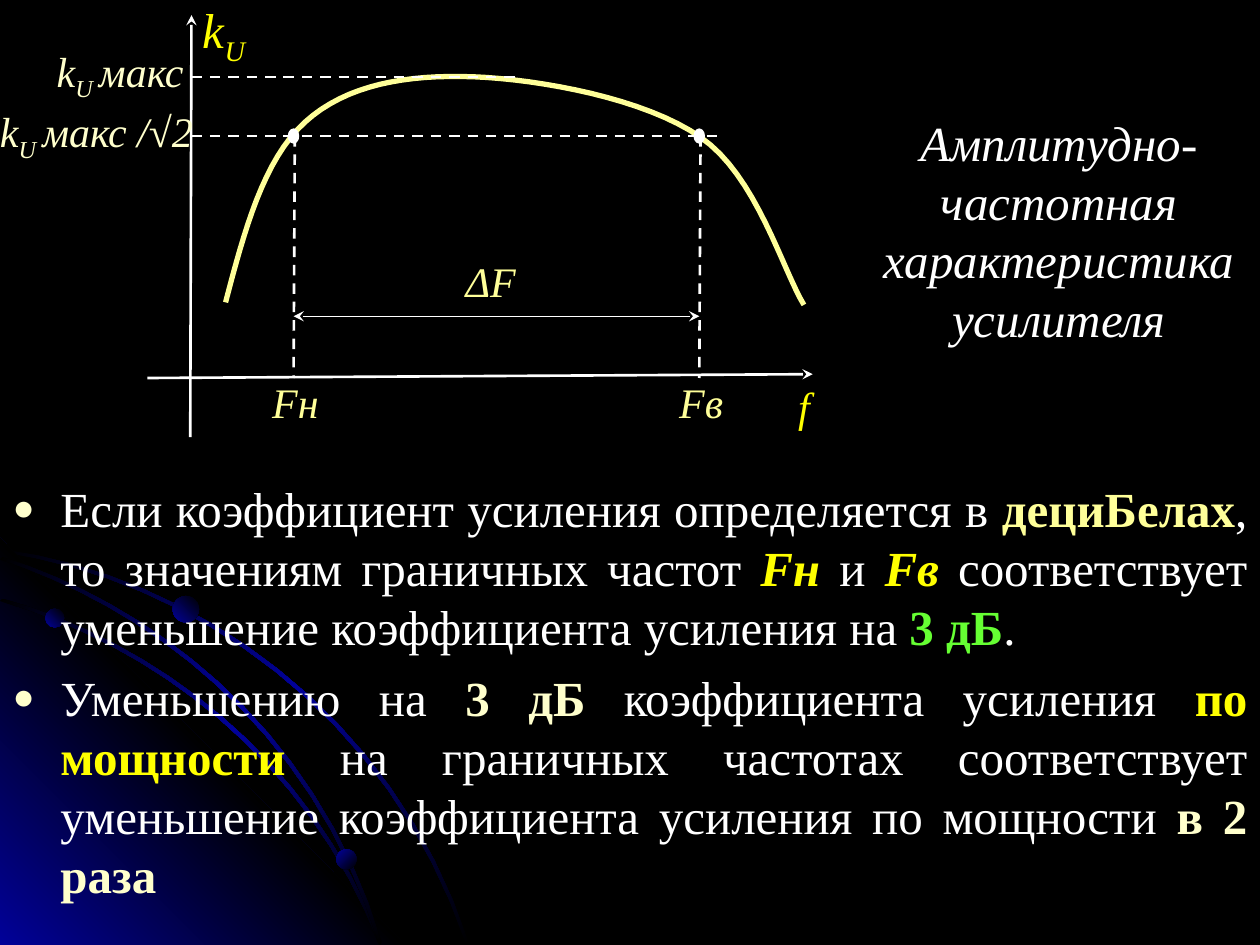
from dataclasses import dataclass

from lxml import etree
from pptx import Presentation
from pptx.dml.color import RGBColor
from pptx.enum.dml import MSO_LINE
from pptx.enum.shapes import MSO_CONNECTOR, MSO_SHAPE
from pptx.enum.text import MSO_ANCHOR, MSO_AUTO_SIZE, PP_ALIGN
from pptx.oxml.ns import qn
from pptx.util import Inches, Pt

DASH = MSO_LINE.DASH
STRAIGHT = MSO_CONNECTOR.STRAIGHT
OVAL = MSO_SHAPE.OVAL
TOP = MSO_ANCHOR.TOP
FIXED = MSO_AUTO_SIZE.NONE
LEFT, CENTER, JUSTIFY = PP_ALIGN.LEFT, PP_ALIGN.CENTER, PP_ALIGN.JUSTIFY

COLUMNS, ROWS = 100, 75
CELL = Inches(0.1)


@dataclass(frozen=True)
class Theme:
    font: str = "Times New Roman"
    large: int = 28
    small: int = 24
    black: str = "000000"
    blue: str = "010199"
    white: str = "FFFFFF"
    yellow: str = "FFFF00"
    pale: str = "FFFF99"
    cream: str = "FFFFCC"
    green: str = "66FF33"
    axis_width: float = 1.5
    curve_width: float = 3
    span_width: float = 0.75


THEME = Theme()


def grid(*cells):
    return [round(cell * CELL) for cell in cells]


def rgb(color):
    return RGBColor.from_string(color)


def child(parent, tag, **attributes):
    return etree.SubElement(parent, qn(tag), attributes)


def write(para, parts, size, italic=False):
    for text, color, bold, slanted, subscript in parts:
        span = para.add_run()
        span.text = text
        span.font.name = THEME.font
        span.font.size = Pt(size)
        span.font.color.rgb = rgb(color)
        span.font.bold = bold
        span.font.italic = italic or slanted
        if subscript:
            span._r.get_or_add_rPr().set("baseline", "-25000")


def part(text, color=THEME.white, bold=False, slanted=False, subscript=False):
    return text, color, bold, slanted, subscript


def place(shape, left, top, width, height):
    shape.left, shape.top, shape.width, shape.height = grid(left, top, width, height)
    frame = shape.text_frame
    frame.word_wrap = True
    frame.auto_size = FIXED
    frame.vertical_anchor = TOP
    return frame


def add_label(page, left, top, width, parts, size=THEME.small, align=CENTER):
    box = page.shapes.add_textbox(*grid(left, top, width, 6))
    frame = box.text_frame
    frame.word_wrap = True
    frame.margin_left = frame.margin_right = frame.margin_top = frame.margin_bottom = 0
    frame.paragraphs[0].alignment = align
    write(frame.paragraphs[0], parts, size, italic=True)


def add_line(page, start, end, width=THEME.axis_width, dashed=False, arrows=()):
    line = page.shapes.add_connector(STRAIGHT, *grid(*start, *end))
    line.line.color.rgb = rgb(THEME.white)
    line.line.width = Pt(width)
    if dashed:
        line.line.dash_style = DASH
    for tag in arrows:
        child(line.line._get_or_add_ln(), tag, type="stealth")
    child(line._element.spPr, "a:effectLst")


def add_dot(page, left, top, width, height):
    dot = page.shapes.add_shape(OVAL, *grid(left, top, width, height))
    dot.shadow.inherit = False
    return dot


def trace(points, steps=16):
    traced = [points[0]]
    for first in range(0, len(points) - 1, 3):
        a, b, c, d = points[first:first + 4]
        for step in range(1, steps + 1):
            t = step / steps
            u = 1 - t
            traced.append(tuple(u**3 * p + 3 * u * u * t * q + 3 * u * t * t * r + t**3 * s
                                for p, q, r, s in zip(a, b, c, d)))
    return traced


def add_outline(page, points, close):
    points = [grid(*point) for point in points]
    builder = page.shapes.build_freeform(*points[0])
    builder.add_line_segments(points[1:], close=close)
    outline = builder.convert_to_shape()
    outline.shadow.inherit = False
    return outline


def shade(shape, colors, angle):
    shape.line.fill.background()
    shape.fill.gradient()
    gradient = shape._element.spPr.find(qn("a:gradFill"))
    for old in list(gradient):
        gradient.remove(old)
    stops = child(gradient, "a:gsLst")
    for index, color in enumerate(colors):
        stop = child(stops, "a:gs", pos=str(100000 * index // (len(colors) - 1)))
        child(stop, "a:srgbClr", val=color)
    child(gradient, "a:lin", ang=str(angle * 60000), scaled="1")


def add_ribbon(page, points):
    edge = trace(points)
    other = [(x + 0.2, y - 0.2) for x, y in reversed(edge)]
    shade(add_outline(page, edge + other, True), (THEME.black, THEME.blue, THEME.black), 225)


def add_orbits(page):
    add_ribbon(page, [(0, 43.8), (15, 45.9), (30.9, 56.6), (37, ROWS)])
    corner = add_outline(page, [(32.2, ROWS), (0, ROWS), (0, 42.7)], True)
    shade(corner, (THEME.blue, THEME.black, THEME.blue), 135)
    add_ribbon(page, [(0, 47.7), (11.9, 51.1), (24.4, 60.1), (30.1, ROWS)])
    add_ribbon(page, [(0, 44.4), (10.9, 47.9), (24.7, 57.1), (30.1, ROWS)])
    for left, top, size, angle in ((3.6, 48.3, 1.5, 135), (26.7, 67.4, 1.6, 225),
                                   (13.7, 47.3, 2.1, 135)):
        shade(add_dot(page, left, top, size, size), (THEME.black, THEME.blue), angle)


def add_response_graph(page):
    low, high, cutoff, peak, axis = 23.3, 55.5, 10.8, 6.1, 30
    add_line(page, (15.1, 34.7), (15.2, 1.2), arrows=["a:tailEnd"])
    add_line(page, (11.7, axis), (64.5, 29.7), arrows=["a:tailEnd"])
    curve = add_outline(page, trace([
        (17.9, 24), (19.4, 18.3), (20.9, 12.7), (24.2, 9.7),
        (27.5, 6.7), (32.3, 5.9), (37.6, 6.1), (42.8, 6.3), (51.2, 7.8), (55.6, 10.9),
        (60, 13.9), (62.1, 21.4), (63.8, 24.2)]), False)
    curve.fill.background()
    curve.line.color.rgb = rgb(THEME.pale)
    curve.line.width = Pt(THEME.curve_width)
    for level, end in ((peak, 41), (cutoff, 57.3)):
        add_line(page, (15.2, level), (end, level), dashed=True)
    for frequency, name in ((low, "Fн"), (high, "Fв")):
        add_line(page, (frequency + 0.1, cutoff), (frequency, axis), dashed=True)
        dot = add_dot(page, frequency - 0.35, cutoff - 0.5, 0.7, 1)
        dot.fill.solid()
        dot.fill.fore_color.rgb = dot.line.color.rgb = rgb(THEME.white)
        dot.line.width = Pt(THEME.axis_width)
        add_label(page, frequency - 3, axis - 0.1, 6.3, [part(name, THEME.pale)])
    add_line(page, (low, 25.1), (high, 25.1), THEME.span_width,
             arrows=["a:headEnd", "a:tailEnd"])
    add_label(page, 35.8, 20.3, 6.3, [part("ΔF", THEME.pale)])
    add_label(page, 60.7, 30.2, 6.2, [part("f", THEME.yellow)])
    add_label(page, 16.1, 0, 6.3, [part("k", THEME.yellow),
              part("U", THEME.yellow, subscript=True)], THEME.large, LEFT)
    for left, top, width, text in ((4.5, 3.6, 10.7, "макс"), (0, 8.4, 17, "макс /√2")):
        add_label(page, left, top, width, [part("k", THEME.cream),
                  part("U ", THEME.cream, subscript=True), part(text, THEME.cream)], align=LEFT)


def fill_title(title):
    frame = place(title, 68.1, 8.4, 31.9, 19.7)
    frame.text = "Амплитудно-частотная\nхарактеристика усилителя"
    for para in frame.paragraphs:
        para.alignment = CENTER
        for span in para.runs:
            span.font.name, span.font.size, span.font.italic = THEME.font, Pt(THEME.large), True
            span.font.color.rgb = rgb(THEME.white)


def fill_body(body, items):
    frame = place(body, 0, 37.5, COLUMNS, 35.1)
    for index, parts in enumerate(items):
        para = frame.add_paragraph() if index else frame.paragraphs[0]
        para.alignment = JUSTIFY
        para.space_before = Pt(7 if index else 0)
        settings = para._p.get_or_add_pPr()
        settings.set("marL", str(Inches(0.38)))
        settings.set("indent", str(-Inches(0.38)))
        child(child(settings, "a:buClr"), "a:srgbClr", val=THEME.cream)
        child(settings, "a:buSzPct", val="75000")
        child(settings, "a:buFont", typeface=THEME.font)
        child(settings, "a:buChar", char="●")
        write(para, parts, THEME.large)


def main():
    deck = Presentation()
    deck.slide_width, deck.slide_height = grid(COLUMNS, ROWS)
    page = deck.slides.add_slide(deck.slide_layouts[1])
    page.background.fill.solid()
    page.background.fill.fore_color.rgb = rgb(THEME.black)
    title, body = page.placeholders
    add_orbits(page)
    add_response_graph(page)
    fill_title(title)
    fill_body(body, [
        [part("Если коэффициент усиления определяется в "), part("дециБелах", THEME.pale, True),
         part(", то значениям граничных частот "), part("Fн ", THEME.yellow, True, True),
         part("и "), part("Fв ", THEME.yellow, True, True),
         part("соответствует уменьшение коэффициента усиления на "),
         part("3 дБ", THEME.green, True), part(".")],
        [part("Уменьшению на "), part("3 дБ", THEME.cream, True),
         part(" коэффициента усиления "), part("по мощности", THEME.yellow, True),
         part(" на граничных частотах соответствует уменьшение коэффициента усиления по мощности "),
         part("в 2 раза", THEME.cream, True)]])
    for holder in (body, title):
        page.shapes._spTree.append(holder._element)
    deck.save("out.pptx")


if __name__ == "__main__":
    main()
